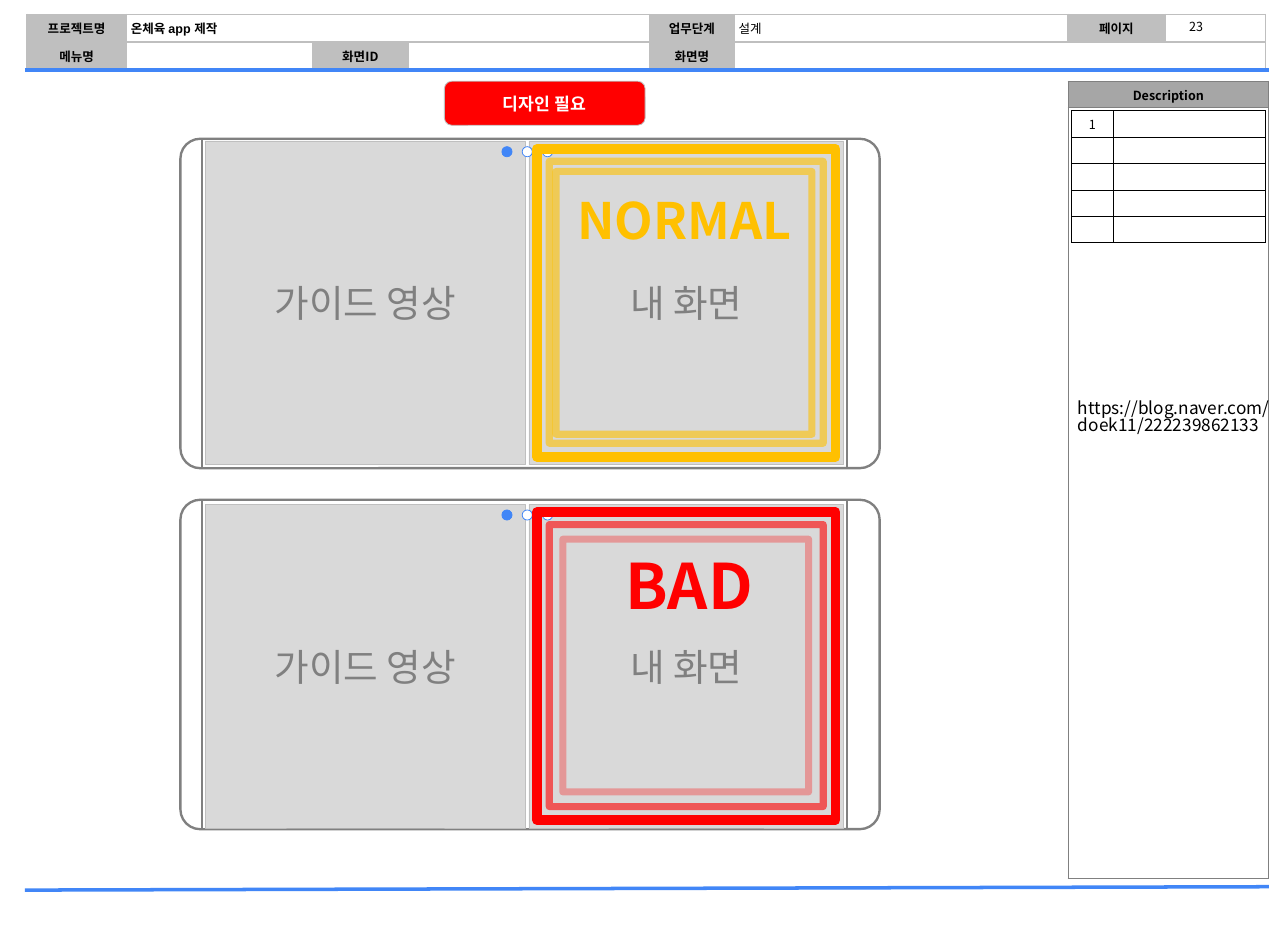
from lxml import etree
from pptx import Presentation, util as u
from pptx.dml.color import RGBColor
from pptx.enum import shapes, text
from pptx.oxml.ns import qn

BLACK = RGBColor(0x00, 0x00, 0x00)
WHITE = RGBColor(0xFF, 0xFF, 0xFF)
BLUE = RGBColor(0x41, 0x86, 0xF7)
RED = RGBColor(0xFF, 0x00, 0x00)
AMBER = RGBColor(0xFF, 0xC0, 0x00)
GRAY = RGBColor(0x80, 0x80, 0x80)
HEAD_GRAY = RGBColor(0xA6, 0xA6, 0xA6)
LABEL_GRAY = RGBColor(0xBF, 0xBF, 0xBF)
SCREEN_GRAY = RGBColor(0xD9, 0xD9, 0xD9)

SCALE = 9144  # EMU per px, 100 px to the inch
KOREAN = "Noto Sans CJK KR"
CENTER, LEFT = text.PP_ALIGN.CENTER, text.PP_ALIGN.LEFT
MIDDLE, TOP = text.MSO_ANCHOR.MIDDLE, text.MSO_ANCHOR.TOP
RECT = shapes.MSO_SHAPE.RECTANGLE
ROUND = shapes.MSO_SHAPE.ROUNDED_RECTANGLE
OVAL = shapes.MSO_SHAPE.OVAL


def emu(*lengths):
    return [u.Emu(length * SCALE) for length in lengths]


def write(frame, words, size=8, font=KOREAN, color=BLACK, bold=False,
          align=CENTER, spacing=None):
    paragraph = frame.paragraphs[0]
    paragraph.alignment = align
    if spacing:
        paragraph.line_spacing = spacing
    if not words:  # an empty cell still needs a small line height
        end = etree.SubElement(paragraph._p, qn("a:endParaRPr"))
        end.set("sz", str(size * 100))
        return
    run = paragraph.add_run()
    run.text = words
    run.font.size = u.Pt(size)
    run.font.name = font
    run.font.bold = bold
    run.font.color.rgb = color
    east_asian = etree.SubElement(run.font._element, qn("a:ea"))
    east_asian.set("typeface", KOREAN)


class Storyboard:
    def __init__(self, width, height):
        self.deck = Presentation()
        self.deck.slide_width, self.deck.slide_height = emu(width, height)
        self.slide = self.deck.slides.add_slide(self.deck.slide_layouts[6])

    def box(self, kind, at, fill=None, line=GRAY, weight=0.5, alpha=100,
            radius=None, words="", **style):
        shape = self.slide.shapes.add_shape(kind, *emu(*at))
        shape.shadow.inherit = False
        if radius is not None:
            shape.adjustments[0] = radius
        if fill is None:
            shape.fill.background()
        else:
            shape.fill.solid()
            shape.fill.fore_color.rgb = fill
        shape.line.color.rgb = line
        shape.line.width = u.Pt(weight)
        if alpha < 100:
            tint = shape._element.xpath("./p:spPr/a:ln//a:srgbClr")[0]
            etree.SubElement(tint, qn("a:alpha")).set("val", str(alpha * 1000))
        if words:
            shape.text_frame.word_wrap = True
            shape.text_frame.vertical_anchor = MIDDLE
            write(shape.text_frame, words, **style)

    def label(self, at, words, inset=(10, 5), **style):
        frame = self.slide.shapes.add_textbox(*emu(*at)).text_frame
        frame.word_wrap = True
        frame.margin_left = frame.margin_right = emu(inset[0])[0]
        frame.margin_top = frame.margin_bottom = emu(inset[1])[0]
        write(frame, words, **style)

    def rule(self, start, end, color, weight):
        line = self.slide.shapes.add_connector(
            shapes.MSO_CONNECTOR.STRAIGHT, *emu(*start, *end))
        line.line.color.rgb = color
        line.line.width = u.Pt(weight)
        etree.SubElement(line._element.spPr, qn("a:effectLst"))

    def table(self, left, top, cols, rows, border, weight):
        """Add an empty bordered grid; its cells are filled with cell()."""
        grid = self.slide.shapes.add_table(
            len(rows), len(cols), *emu(left, top, sum(cols), sum(rows))).table
        grid.first_row = grid.horz_banding = False
        for column, width in zip(grid.columns, emu(*cols)):
            column.width = width
        for row, height in zip(grid.rows, emu(*rows)):
            row.height = height
        for cell in grid.iter_cells():
            properties = cell._tc.get_or_add_tcPr()
            for side in ("lnL", "lnR", "lnT", "lnB"):
                edge = etree.SubElement(properties, qn(f"a:{side}"))
                edge.set("w", str(u.Pt(weight)))
                solid = etree.SubElement(edge, qn("a:solidFill"))
                etree.SubElement(solid, qn("a:srgbClr")).set("val", str(border))
        return grid

    def cell(self, cell, words="", fill=None, inset=4, anchor=MIDDLE, **style):
        cell.margin_left = cell.margin_right = emu(inset)[0]
        cell.margin_top = cell.margin_bottom = emu(min(inset, 4))[0]
        cell.vertical_anchor = anchor
        if fill is None:
            cell.fill.background()
        else:
            cell.fill.solid()
            cell.fill.fore_color.rgb = fill
        write(cell.text_frame, words, **style)

    def phone(self, top, screen_top, color, frames, verdict, verdict_at, size):
        # Body and side bars
        self.box(ROUND, (160, top, 620, 292), weight=1.5, radius=0.06)
        for x in (179, 751):
            self.rule((x, top + 292), (x, top), GRAY, 1.5)
        # Guide video and own camera
        for left, width, words in ((469, 279, "내 화면"), (182, 284, "가이드 영상")):
            self.box(RECT, (left, screen_top, width, 287), SCREEN_GRAY,
                     LABEL_GRAY, words=words, size=24, font="Arial", color=GRAY)
        # Page dots
        for index, fill in enumerate((BLUE, WHITE, WHITE)):
            self.box(OVAL, (445 + 18 * index, screen_top + 5, 9, 9), fill, BLUE)
        # Glowing frames and verdict
        for at, weight, alpha in frames:
            self.box(RECT, at, line=color, weight=weight, alpha=alpha)
        self.label(verdict_at, verdict, size=size, color=color, bold=True,
                   spacing=0.9)


def main():
    board = Storyboard(1142, 827)
    board.rule((22, 789), (1125, 786), BLUE, 2.25)

    # Project header
    header = board.table(24, 13, [88, 165, 85, 214, 75, 296, 86, 89], [23, 23],
                         LABEL_GRAY, 1)
    header.cell(0, 1).merge(header.cell(0, 3))
    header.cell(1, 5).merge(header.cell(1, 7))
    titles = {(0, 0): "프로젝트명", (0, 4): "업무단계", (0, 6): "페이지",
              (1, 0): "메뉴명", (1, 2): "화면ID", (1, 4): "화면명"}
    values = {(0, 1): dict(words="온체육 app 제작", font="Arial", bold=True),
              (0, 5): dict(words="설계", anchor=TOP)}
    for row in range(2):
        for col in range(8):
            spot = row, col
            if spot in titles:
                board.cell(header.cell(*spot), titles[spot], LABEL_GRAY, bold=True)
            else:
                board.cell(header.cell(*spot), align=LEFT, **values.get(spot, {}))
    board.label((1039, 13, 43, 21), "23", inset=(7, 4))
    board.rule((22, 62), (1125, 62), BLUE, 2.25)

    # Description panel
    panel = board.table(947, 72, [178], [23, 684], GRAY, 0.5)
    board.cell(panel.cell(0, 0), "Description", HEAD_GRAY, inset=8, bold=True)
    board.cell(panel.cell(1, 0), fill=WHITE)

    # Phone mock-ups
    for top, screen_top, color, inner, inner_alpha, verdict, verdict_at, size in (
            (123, 125, AMBER, (493, 152, 227, 233), 60,
             "NORMAL", (492, 169, 230, 64), 32),
            (443, 447, RED, (499, 478, 218, 224), 30,
             "BAD", (496, 487, 230, 77), 40)):
        frames = (((476, screen_top + 7, 265, 273), 6, 100),
                  ((487, screen_top + 18, 243, 250), 4.5, 60),
                  (inner, 4.5, inner_alpha))
        board.phone(top, screen_top, color, frames, verdict, verdict_at, size)

    # Reference link and numbered notes
    board.label((946, 351, 200, 29), "https://blog.naver.com/doek11/222239862133",
                size=11, align=LEFT, spacing=0.8)
    notes = board.table(950, 98, [37, 135], [24, 23, 24, 23, 23], BLACK, 0.25)
    for index, cell in enumerate(notes.iter_cells()):
        board.cell(cell, "1" if index == 0 else "", WHITE, inset=3)

    # Status badge
    board.box(ROUND, (394, 72, 178, 39), RED, LABEL_GRAY, words="디자인 필요",
              size=11, font="Arial", color=WHITE, bold=True)

    board.deck.save("out.pptx")


if __name__ == "__main__":
    main()
